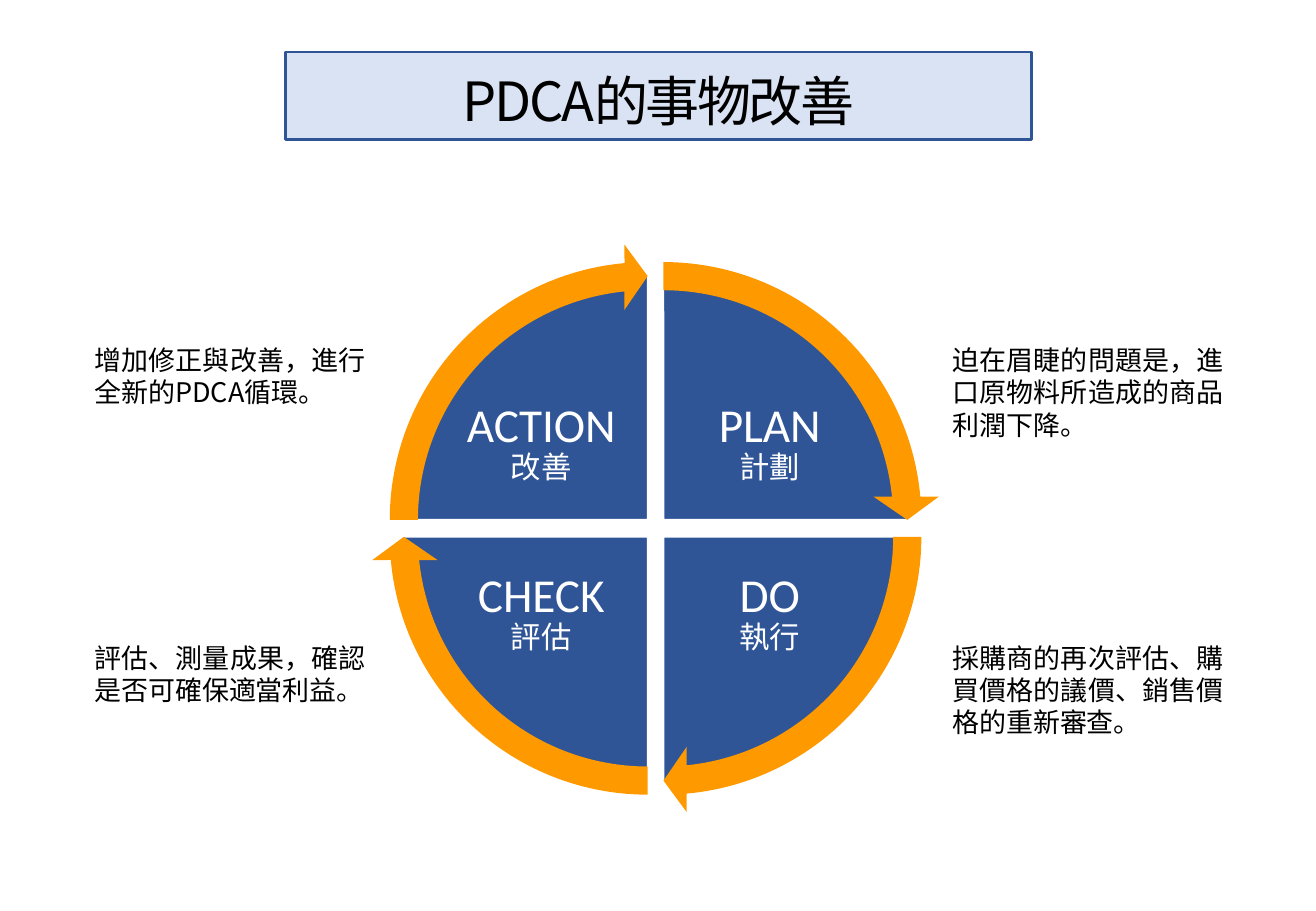
from lxml import etree
from pptx import Presentation
from pptx.dml import color
from pptx.enum import shapes, text
from pptx.oxml import ns
from pptx.util import Inches, Pt

CJK = "Noto Sans CJK SC"
BLUE, PALE_BLUE, ORANGE = "2F5597", "DAE3F3", "FF9900"
WHITE, BLACK = "FFFFFF", "000000"


def paint(fill, hex_color):
    fill.solid()
    fill.fore_color.rgb = color.RGBColor.from_string(hex_color)


def set_font(font, name, size, hex_color):
    """Set the face for both Latin and East Asian characters."""
    font.size = Pt(size)
    paint(font.fill, hex_color)
    font.name = name
    etree.SubElement(font._element, ns.qn("a:ea"), typeface=name)


presentation = Presentation()
presentation.slide_width, presentation.slide_height = Inches(10.83), Inches(7.5)
slide = presentation.slides.add_slide(presentation.slide_layouts[5])

# Title
title = slide.shapes.title
title.left, title.top = Inches(2.35), Inches(0.43)
title.width, title.height = Inches(6.14), Inches(0.72)
paint(title.fill, PALE_BLUE)
paint(title.line.fill, BLUE)
title.line.width = Pt(1.5)
frame = title.text_frame
frame.text = "PDCA的事物改善"
frame.auto_size = text.MSO_AUTO_SIZE.NONE
frame.vertical_anchor = text.MSO_ANCHOR.MIDDLE
frame.margin_top, frame.margin_bottom = Inches(0.06), 0
paragraph = frame.paragraphs[0]
paragraph.alignment = text.PP_ALIGN.CENTER
set_font(paragraph.font, CJK, 32, BLACK)
paragraph.font._element.set("spc", "-150")

# Quarters of the cycle, clockwise from the top right:
# English, Chinese, on the right, at the top, start angle, note
quarters = [
    ("PLAN", "計劃", True, True, 270, "迫在眉睫的問題是，進口原物料所造成的商品利潤下降。"),
    ("DO", "執行", True, False, 0, "採購商的再次評估、購買價格的議價、銷售價格的重新審查。"),
    ("CHECK", "評估", False, False, 90, "評估、測量成果，確認是否可確保適當利益。"),
    ("ACTION", "改善", False, True, 180, "增加修正與改善，進行全新的PDCA循環。"),
]
PIE_SIZE, ARROW_SIZE = 4.04, 4.55
DEGREE = 0.6  # one degree in shape adjustment units

for english, chinese, right, top, start, note in quarters:
    center_x = 5.46 if right else 5.33
    center_y = 4.28 if top else 4.42
    pie = slide.shapes.add_shape(
        shapes.MSO_SHAPE.PIE,
        Inches(center_x - PIE_SIZE / 2), Inches(center_y - PIE_SIZE / 2),
        Inches(PIE_SIZE), Inches(PIE_SIZE))
    pie.adjustments[0] = start * DEGREE
    pie.adjustments[1] = (start + 90) % 360 * DEGREE
    pie.shadow.inherit = False
    paint(pie.fill, BLUE)
    paint(pie.line.fill, WHITE)
    pie.line.width = Pt(1)

    frame = pie.text_frame
    frame.word_wrap = False
    frame.vertical_anchor = text.MSO_ANCHOR.MIDDLE
    frame.margin_left, frame.margin_right = Inches(1.75 * right), Inches(1.75 * (not right))
    frame.margin_top, frame.margin_bottom = Inches(1.26 * (not top)), Inches(1.26 * top)
    paragraph = frame.paragraphs[0]
    paragraph.alignment = text.PP_ALIGN.CENTER
    paragraph.line_spacing = 0.9
    run = paragraph.add_run()
    run.text = english
    set_font(run.font, "Calibri", 28, WHITE)
    paragraph.add_line_break()
    run = paragraph.add_run()
    run.text = chinese
    set_font(run.font, CJK, 18, WHITE)

for english, chinese, right, top, start, note in quarters:
    center_x = 5.46 if right else 5.33
    center_y = 4.28 if top else 4.42
    arrow = slide.shapes.add_shape(
        shapes.MSO_SHAPE.CIRCULAR_ARROW,
        Inches(center_x - ARROW_SIZE / 2), Inches(center_y - ARROW_SIZE / 2),
        Inches(ARROW_SIZE), Inches(ARROW_SIZE))
    adjustments = (0.051, 3.275, (start + 90) * DEGREE - 3.275, start * DEGREE, 0.059)
    for index, value in enumerate(adjustments):
        arrow.adjustments[index] = value
    arrow.shadow.inherit = False
    paint(arrow.fill, ORANGE)
    arrow.line.fill.background()

    box = slide.shapes.add_textbox(
        Inches(7.74 if right else 0.68), Inches(2.78 if top else 5.23),
        Inches(2.43), Inches(0.91 if right else 0.64))
    frame = box.text_frame
    frame.word_wrap = True
    frame.auto_size = text.MSO_AUTO_SIZE.SHAPE_TO_FIT_TEXT
    frame.text = note
    paragraph = frame.paragraphs[0]
    paragraph.alignment = text.PP_ALIGN.JUSTIFY
    set_font(paragraph.font, CJK, 16, BLACK)

presentation.save("out.pptx")
